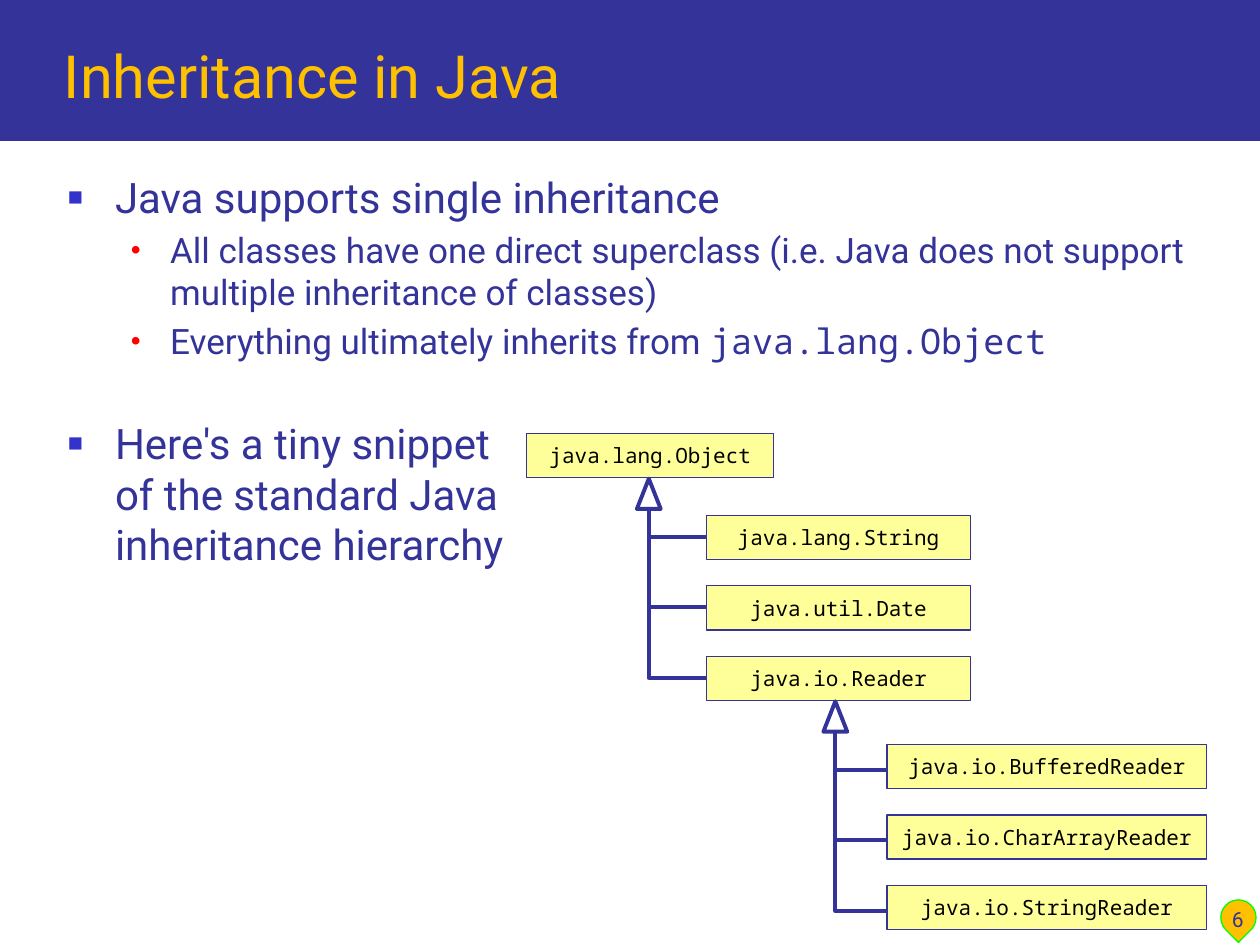
"""Build the slide on inheritance in Java with its class hierarchy."""
from lxml.etree import SubElement
from pptx import Presentation
from pptx.dml.color import RGBColor
from pptx.enum.shapes import MSO_CONNECTOR, MSO_SHAPE
from pptx.enum.text import MSO_ANCHOR, PP_ALIGN
from pptx.oxml.ns import qn
from pptx.util import Cm, Pt

NAVY, GOLD, YELLOW = "333399", "FFC000", "FFFF99"
SANS, MONO = "Roboto", "Noto Sans Mono"

TITLE = "Inheritance in Java"
PAGE = "6"
POINTS = [
    (0, 0, [("Java supports single inheritance", SANS)]),
    (1, 4, [("All classes have one direct superclass (i.e. Java does not "
             "support multiple inheritance of classes)", SANS)]),
    (1, 4, [("Everything ultimately inherits from ", SANS),
            ("java.lang.Object", MONO)]),
    (0, 32, [("Here's a tiny snippet", SANS), ("of the standard Java", SANS),
             ("inheritance hierarchy", SANS)]),
]
LEVELS = [
    dict(size=24, margin=0.95, hang=0.95, bullet="■", color="3333CC", scale=60),
    dict(size=20, margin=2.06, hang=0.79, bullet="•", color="FF0000", scale=80),
]
ROOT = ("java.lang.Object", 10.62, 8.74, 4.98)
BRANCHES = [
    dict(classes=["java.lang.String", "java.util.Date", "java.io.Reader"],
         left=14.25, top=10.39, width=5.31, trunk=13.08, joint=0.43,
         parent_top=8.74),
    dict(classes=["java.io.BufferedReader", "java.io.CharArrayReader",
                  "java.io.StringReader"],
         left=17.88, top=15.01, width=6.45, trunk=16.84, joint=0.51,
         parent_top=13.23),
]
BOX_HEIGHT, ROW_PITCH = 0.89, 1.42
LINK_WIDTH, LINK_HEIGHT = 3.76, 1.55
ARROW_WIDTH, ARROW_HEIGHT = 0.48, 0.61


def rgb(value):
    return RGBColor.from_string(value)


def add_run(paragraph, text, size, color, face=SANS):
    run = paragraph.add_run()
    run.text = text
    run.font.size, run.font.name = Pt(size), face
    run.font.color.rgb = rgb(color)


def add_block(slide, area, anchor=MSO_ANCHOR.TOP):
    frame = slide.shapes.add_textbox(*map(Cm, area)).text_frame
    frame.word_wrap = True
    frame.vertical_anchor = anchor
    return frame


def add_form(slide, kind, area, fill, line=None, weight=0.75):
    form = slide.shapes.add_shape(kind, *map(Cm, area))
    form.shadow.inherit = False
    form.fill.solid()
    form.fill.fore_color.rgb = rgb(fill)
    if line:
        form.line.color.rgb = rgb(line)
        form.line.width = Pt(weight)
    else:
        form.line.fill.background()
    return form


def add_point(paragraph, level, gap, pieces):
    style = LEVELS[level]
    props = paragraph._p.get_or_add_pPr()
    props.set("lvl", str(level))
    props.set("marL", str(Cm(style["margin"])))
    props.set("indent", str(-Cm(style["hang"])))
    paragraph.space_before = Pt(gap)
    tint = SubElement(props, qn("a:buClr"))
    SubElement(tint, qn("a:srgbClr"), val=style["color"])
    SubElement(props, qn("a:buSzPct"), val=str(style["scale"] * 1000))
    SubElement(props, qn("a:buFont"), typeface="Arial")
    SubElement(props, qn("a:buChar"), char=style["bullet"])
    for index, (text, face) in enumerate(pieces):
        if index and level == 0:
            paragraph.add_line_break()
        add_run(paragraph, text, style["size"], NAVY, face)


def add_class(slide, name, left, top, width):
    box = add_form(slide, MSO_SHAPE.RECTANGLE,
                   (left, top, width, BOX_HEIGHT), YELLOW, NAVY)
    frame = box.text_frame
    frame.word_wrap = False
    frame.vertical_anchor = MSO_ANCHOR.MIDDLE
    frame.paragraphs[0].alignment = PP_ALIGN.CENTER
    add_run(frame.paragraphs[0], name, 12, "000000", MONO)


def add_link(slide, left, bottom):
    ends = left, bottom - LINK_HEIGHT, left + LINK_WIDTH, bottom
    link = slide.shapes.add_connector(MSO_CONNECTOR.ELBOW, *map(Cm, ends))
    link.line.color.rgb = rgb(NAVY)
    link.line.width = Pt(2.25)
    props = link._element.spPr
    SubElement(props, qn("a:effectLst"))
    guides = props.find(qn("a:prstGeom")).find(qn("a:avLst"))
    SubElement(guides, qn("a:gd"), name="adj1", fmla="val -100")


def add_hierarchy(slide):
    for branch in BRANCHES:
        for row in range(len(branch["classes"])):
            add_link(slide, branch["trunk"],
                     branch["top"] + branch["joint"] + row * ROW_PITCH)
    add_class(slide, *ROOT)
    for branch in BRANCHES:
        for row, name in enumerate(branch["classes"]):
            add_class(slide, name, branch["left"],
                      branch["top"] + row * ROW_PITCH, branch["width"])
    for branch in BRANCHES:
        area = (branch["trunk"] - ARROW_WIDTH / 2,
                branch["parent_top"] + BOX_HEIGHT + 0.02,
                ARROW_WIDTH, ARROW_HEIGHT)
        add_form(slide, MSO_SHAPE.ISOSCELES_TRIANGLE, area, "FFFFFF", NAVY, 2.25)


def main():
    deck = Presentation()
    deck.slide_width, deck.slide_height = Cm(25.4), Cm(19.05)
    slide = deck.slides.add_slide(deck.slide_layouts[6])

    add_form(slide, MSO_SHAPE.RECTANGLE, (0, 0, 25.4, 2.84), NAVY)
    drop = add_form(slide, MSO_SHAPE.TEAR, (24.61, 18.14, 0.71, 0.71),
                    GOLD, "00FF00")
    drop.rotation = 134.9

    body = add_block(slide, (1.12, 3.33, 23.57, 13.72))
    for index, point in enumerate(POINTS):
        paragraph = body.add_paragraph() if index else body.paragraphs[0]
        add_point(paragraph, *point)

    title = add_block(slide, (1.04, 0.43, 23.75, 1.93), MSO_ANCHOR.BOTTOM)
    add_run(title.paragraphs[0], TITLE, 34, GOLD)

    add_hierarchy(slide)

    page = add_block(slide, (24.23, 17.63, 1.45, 1.27), MSO_ANCHOR.BOTTOM)
    page.paragraphs[0].alignment = PP_ALIGN.CENTER
    add_run(page.paragraphs[0], PAGE, 12, NAVY)

    deck.save("out.pptx")


if __name__ == "__main__":
    main()
